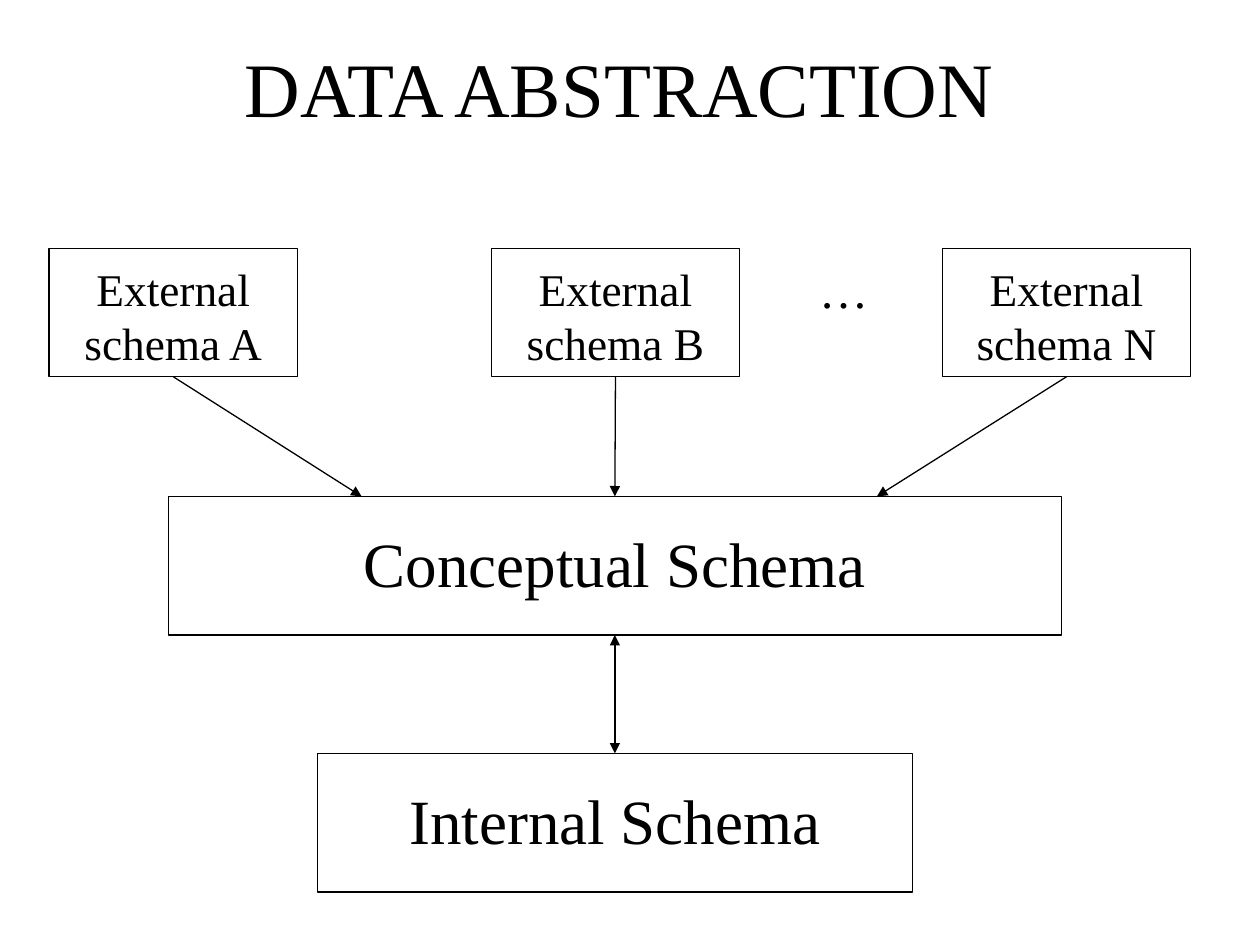
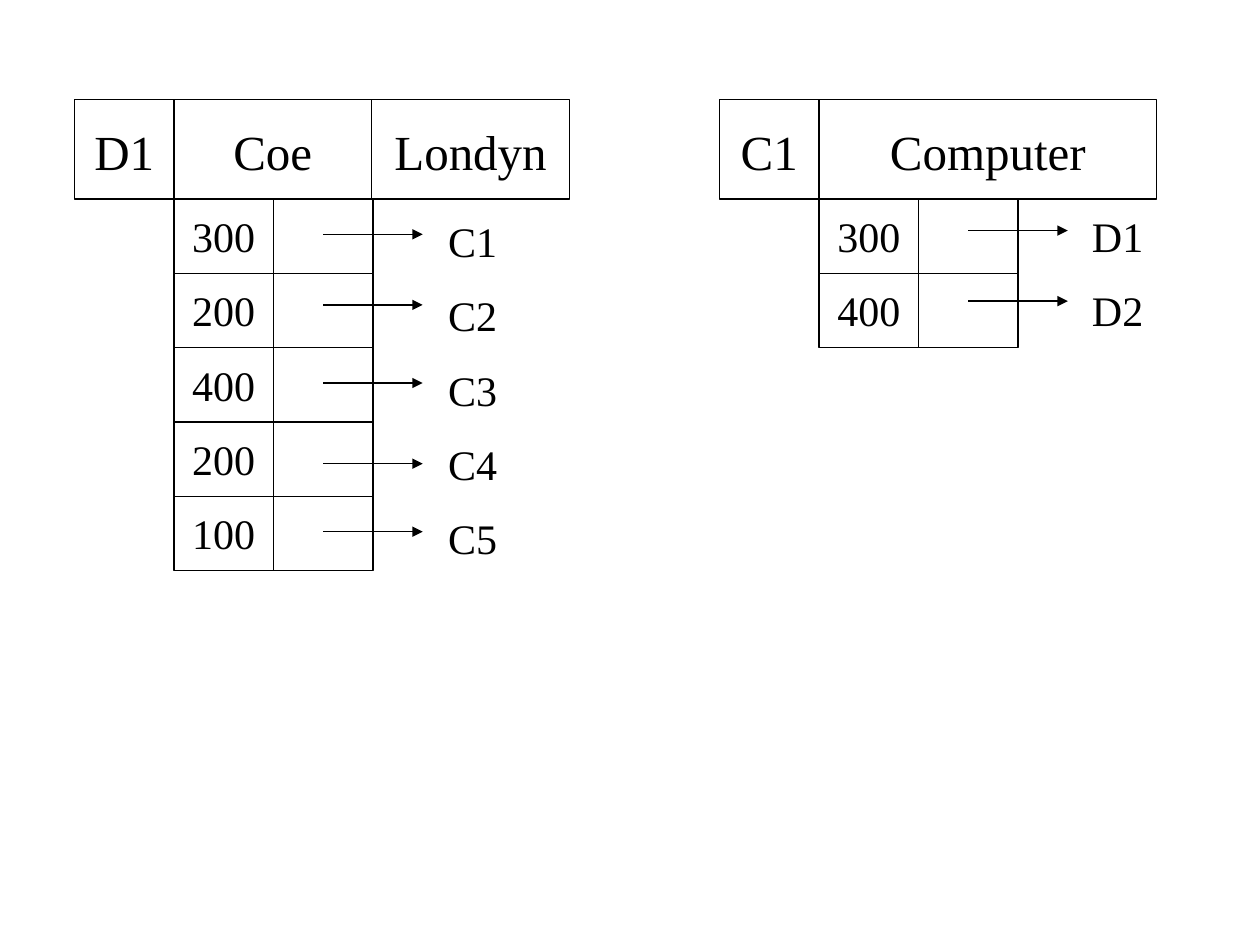
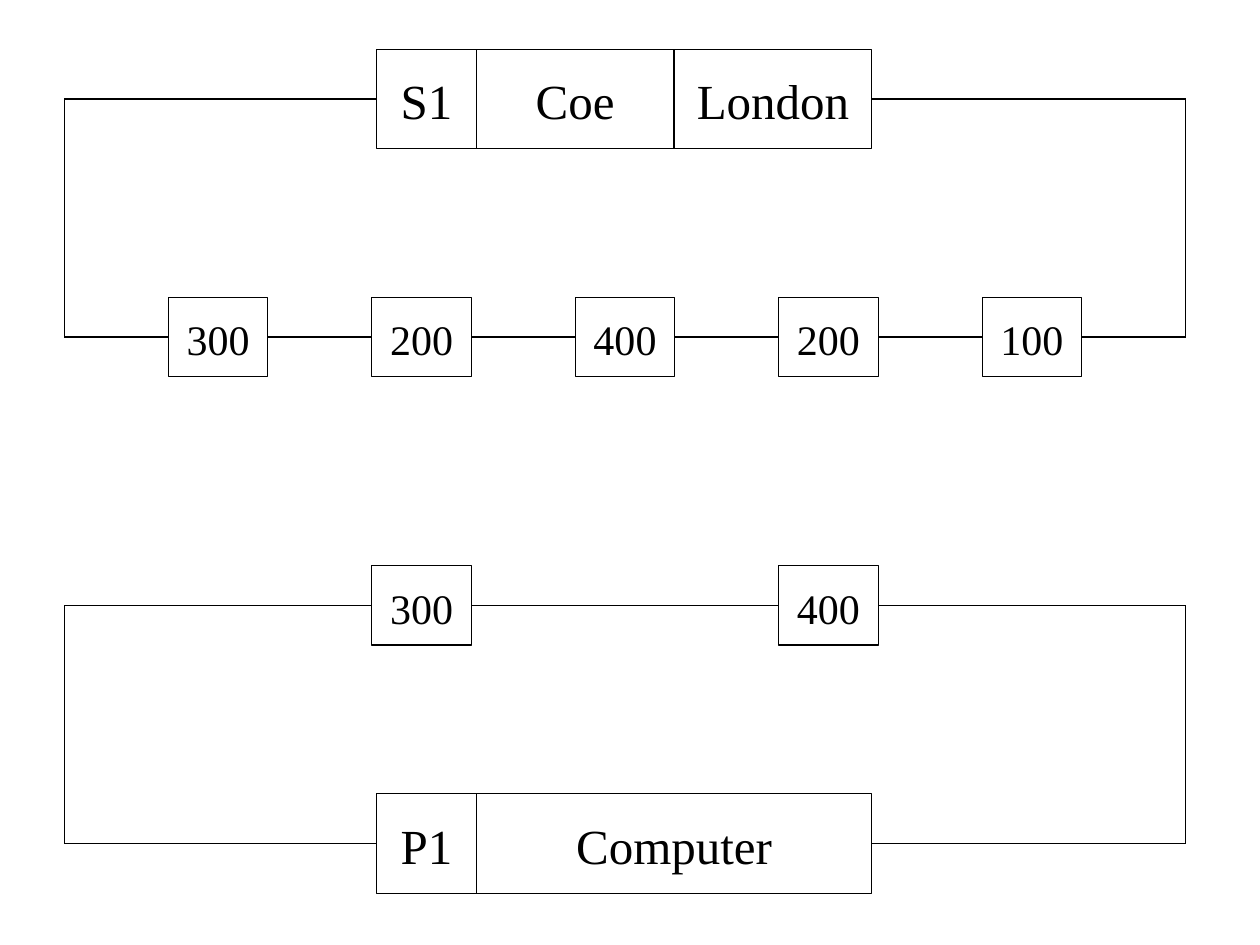
from lxml import etree
from pptx import Presentation
from pptx.dml.color import RGBColor
from pptx.enum import shapes, text
from pptx.oxml.ns import qn
from pptx.util import Inches, Pt

COLOURS = {"ink": "000000", "paper": "FFFFFF"}
FONT = "Times New Roman"
INK = RGBColor.from_string(COLOURS["ink"])
LINE_WIDTH = Pt(0.75)
CELL = 0.79
WIDE_CELL = 1.57
ROW_HEIGHT = 0.59
TITLE_ONLY, BLANK = 5, 6


def add_slide(presentation, layout_index):
    slide = presentation.slides.add_slide(presentation.slide_layouts[layout_index])
    slide.background.fill.solid()
    slide.background.fill.fore_color.rgb = RGBColor.from_string(COLOURS["paper"])
    return slide


def set_text(shape, words, size, top_inset):
    frame = shape.text_frame
    frame.word_wrap = True
    frame.auto_size = text.MSO_AUTO_SIZE.NONE
    frame.vertical_anchor = text.MSO_ANCHOR.TOP
    frame.margin_left = frame.margin_right = Inches(0.1)
    frame.margin_top, frame.margin_bottom = Inches(top_inset), Inches(0.05)
    paragraph = frame.paragraphs[0]
    paragraph.text = words
    paragraph.alignment = text.PP_ALIGN.CENTER
    paragraph.line_spacing = 1.0
    paragraph.space_before = Pt(0)
    paragraph.font.name = FONT
    paragraph.font.size = Pt(size)
    paragraph.font.color.rgb = INK


def add_box(slide, box, words="", size=24, top_inset=0.09):
    shape = slide.shapes.add_shape(shapes.MSO_SHAPE.RECTANGLE, *map(Inches, box))
    shape.shadow.inherit = False
    shape.fill.background()
    shape.line.color.rgb = INK
    shape.line.width = LINE_WIDTH
    if words:
        set_text(shape, words, size, top_inset)


def add_label(slide, box, words, size=24, top_inset=0.09):
    set_text(slide.shapes.add_textbox(*map(Inches, box)), words, size, top_inset)


def add_line(slide, start, end, arrowheads=()):
    """Draw a straight line; arrowheads may name headEnd (start) and tailEnd (end)."""
    line = slide.shapes.add_connector(
        shapes.MSO_CONNECTOR.STRAIGHT, *map(Inches, (*start, *end)))
    line.line.color.rgb = INK
    line.line.width = LINE_WIDTH
    properties = line._element.spPr
    outline = properties.find(qn("a:ln"))
    for arrowhead in arrowheads:
        etree.SubElement(outline, qn(f"a:{arrowhead}"), type="triangle")
    etree.SubElement(properties, qn("a:effectLst"))


def add_record(slide, left, top, fields):
    """Place a row of touching (words, width) cells; return its right edge."""
    for words, width in fields:
        add_box(slide, (left, top, width, CELL), words, 28, 0.17)
        left += width
    return left


def add_pointer_list(slide, left, top, fields, rows, label_inset):
    """Hang (quantity, target, arrow drop) rows below a record."""
    add_record(slide, left, top, fields)
    quantity_left = left + CELL
    link_left = quantity_left + CELL
    arrow_left = link_left + CELL / 2
    label_left = arrow_left + CELL
    for index, (quantity, target, drop) in enumerate(rows):
        row_top = top + CELL + index * ROW_HEIGHT
        add_box(slide, (quantity_left, row_top, CELL, ROW_HEIGHT), quantity)
        add_box(slide, (link_left, row_top, CELL, ROW_HEIGHT))
        add_line(slide, (arrow_left, row_top + drop), (label_left, row_top + drop),
                 ["tailEnd"])
        add_label(slide, (label_left, row_top, CELL, ROW_HEIGHT), target,
                  top_inset=label_inset)


def add_ring(slide, box, record_top, fields, quantities, quantity_top):
    """Link a record and evenly spaced quantities along a closed rectangle."""
    left, right = box
    record_left, quantity_height = 2.99, 0.63
    record_right = add_record(slide, record_left, record_top, fields)
    record_middle = record_top + CELL / 2
    quantity_middle = quantity_top + quantity_height / 2

    add_line(slide, (left, record_middle), (record_left, record_middle))
    add_line(slide, (record_right, record_middle), (right, record_middle))
    for side in box:
        add_line(slide, (side, record_middle), (side, quantity_middle))

    gap = (right - left - len(quantities) * CELL) / (len(quantities) + 1)
    for index in range(len(quantities) + 1):
        link_left = left + index * (CELL + gap)
        link_right = link_left + gap
        add_line(slide, (link_left, quantity_middle), (link_right, quantity_middle))
        if index < len(quantities):
            add_box(slide, (link_right, quantity_top, CELL, quantity_height),
                    quantities[index], top_inset=0.13)


def build_abstraction_slide(presentation):
    slide = add_slide(presentation, TITLE_ONLY)
    title = slide.shapes.title
    title.left, title.top, title.width, title.height = map(
        Inches, (0.98, 0.21, 7.87, 0.94))
    set_text(title, "DATA ABSTRACTION", 44, 0.11)

    external_top, external_width, external_height = 1.97, 1.97, 1.02
    external_bottom = external_top + external_height
    conceptual_top, internal_top, level_height = 3.94, 5.98, 1.1
    centre = 4.88
    for name, left, arrow_end in (("A", 0.39, 2.87), ("B", 3.9, centre),
                                  ("N", 7.48, 6.96)):
        add_box(slide, (left, external_top, external_width, external_height),
                f"External schema {name}", 25.9, 0.1)
        add_line(slide, (left + external_width / 2, external_bottom),
                 (arrow_end, conceptual_top), ["tailEnd"])
    add_label(slide, (6.3, external_top, CELL, external_height), "…", 28)

    for words, top, width in (("Conceptual Schema", conceptual_top, 7.09),
                              ("Internal Schema", internal_top, 4.72)):
        add_box(slide, (centre - width / 2, top, width, level_height),
                words, 36, 0.22)
    add_line(slide, (centre, conceptual_top + level_height), (centre, internal_top),
             ["headEnd", "tailEnd"])


def build_pointer_slide(presentation):
    slide = add_slide(presentation, BLANK)
    add_pointer_list(
        slide, 0.59, 0.79,
        [("D1", CELL), ("Coe", WIDE_CELL), ("Londyn", WIDE_CELL)],
        [("300", "C1", 0.28), ("200", "C2", 0.25), ("400", "C3", 0.28),
         ("200", "C4", 0.33), ("100", "C5", 0.28)], 0.13)
    add_pointer_list(
        slide, 5.71, 0.79, [("C1", CELL), ("Computer", 2.68)],
        [("300", "D1", 0.25), ("400", "D2", 0.22)], 0.09)


def build_ring_slide(presentation):
    slide = add_slide(presentation, BLANK)
    sides = (0.51, 9.41)
    add_ring(slide, sides, 0.39,
             [("S1", CELL), ("Coe", WIDE_CELL), ("London", WIDE_CELL)],
             ["300", "200", "400", "200", "100"], 2.36)
    add_ring(slide, sides, 6.3, [("P1", CELL), ("Computer", 2 * WIDE_CELL)],
             ["300", "400"], 4.49)


def main():
    presentation = Presentation()
    presentation.slide_width, presentation.slide_height = Inches(10), Inches(7.5)
    build_abstraction_slide(presentation)
    build_pointer_slide(presentation)
    build_ring_slide(presentation)
    presentation.save("out.pptx")


if __name__ == "__main__":
    main()
